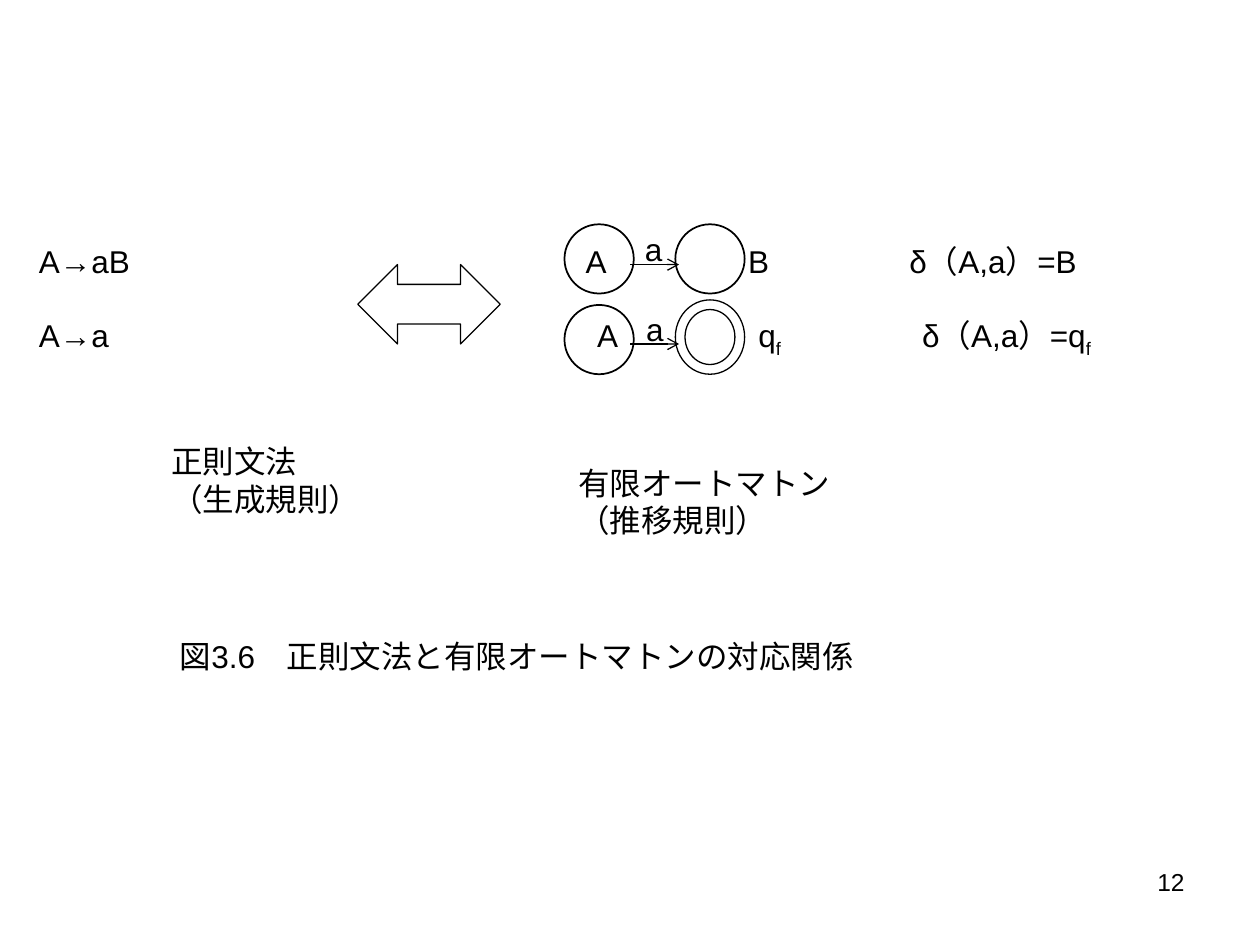
import pptx
import pptx.util
import pptx.dml.color
import pptx.enum.shapes
import pptx.enum.text
import pptx.oxml.ns
import lxml.etree

Inches = pptx.util.Inches
Pt = pptx.util.Pt
SHAPE = pptx.enum.shapes.MSO_SHAPE
ALIGN = pptx.enum.text.PP_ALIGN
BLACK = pptx.dml.color.RGBColor(0, 0, 0)
WHITE = pptx.dml.color.RGBColor(255, 255, 255)


def add_node(owner, tag, **attrs):
    """Append a DrawingML element and return it."""
    node = lxml.etree.SubElement(owner, pptx.oxml.ns.qn(tag))
    for name, value in attrs.items():
        node.set(name, str(value))
    return node


def write(frame, lines, size=18, font="Arial", color=BLACK,
          align=ALIGN.LEFT, gap=0, tabs=()):
    """Fill a frame; "_" lowers the next letter, tabs has stops per line."""
    for index, line in enumerate(lines):
        para = frame.paragraphs[0] if index == 0 else frame.add_paragraph()
        para.alignment = align
        para.space_before = Pt(gap if index else 0)
        if tabs:
            stops = add_node(para._p.get_or_add_pPr(), "a:tabLst")
            for stop in tabs[index]:
                add_node(stops, "a:tab", pos=int(Inches(stop)), algn="l")
        head, *rest = line.split("_")
        parts = [(head, False)]
        for part in rest:
            parts += [(part[:1], True), (part[1:], False)]
        for text, low in parts:
            if not text:
                continue
            run = para.add_run()
            run.text = text
            run.font.size = Pt(size)
            run.font.name = font
            run.font.color.rgb = color
            if low:
                run._r.get_or_add_rPr().set("baseline", "-25000")


class Page:
    """Hold the slide and the line style."""

    def __init__(self, slide, color=BLACK, thin=0.74):
        """Keep the slide and its defaults."""
        self.slide = slide
        self.color = color
        self.thin = thin
        slide.background.fill.solid()
        slide.background.fill.fore_color.rgb = WHITE

    def text(self, left, top, width, height, *lines, wrap=False, **form):
        """Add a text box."""
        box = self.slide.shapes.add_textbox(
            Inches(left), Inches(top), Inches(width), Inches(height))
        box.text_frame.word_wrap = wrap
        write(box.text_frame, lines, **form)

    def shape(self, kind, left, top, width, height, line=None, adjust=()):
        """Add an outlined shape without fill."""
        item = self.slide.shapes.add_shape(
            kind, Inches(left), Inches(top), Inches(width), Inches(height))
        item.shadow.inherit = False
        item.fill.background()
        item.line.color.rgb = self.color
        item.line.width = Pt(line or self.thin)
        for index, value in enumerate(adjust):
            item.adjustments[index] = value

    def arrow(self, start, end, level):
        """Add a level arrow with an open head."""
        item = self.slide.shapes.add_connector(
            pptx.enum.shapes.MSO_CONNECTOR.STRAIGHT,
            Inches(start), Inches(level), Inches(end), Inches(level))
        item.line.color.rgb = self.color
        item.line.width = Pt(self.thin)
        add_node(item.line._get_or_add_ln(), "a:tailEnd", type="arrow")
        add_node(item._element.spPr, "a:effectLst")


def main():
    """Build the slide."""
    deck = pptx.Presentation()
    deck.slide_width, deck.slide_height = Inches(10), Inches(7.5)
    page = Page(deck.slides.add_slide(deck.slide_layouts[6]))

    page.text(7.17, 6.83, 2.33, 0.52, "12", wrap=True, size=14,
              align=ALIGN.RIGHT)
    page.text(0.21, 1.87, 8.79, 1.04,
              "A→aB\tA\tB\tδ（A,a）=B",
              "A→a\tA\tq_f\tδ（A,a）=q_f",
              wrap=True, gap=21,
              tabs=[(4.34, 5.63, 6.91), (4.43, 5.71, 7.01)])

    size, left, right = 0.55, 4.48, 5.36
    for top, level, label in ((1.78, 2.1, 5.02), (2.42, 2.73, 5.03)):
        page.arrow(5, 5.39, level)
        page.shape(SHAPE.OVAL, left, top, size, size, line=1)
        page.text(label, level - 0.32, 0.34, 0.4, "a")
    page.shape(SHAPE.OVAL, right, 1.78, size, size, line=1)
    page.shape(SHAPE.DONUT, right, 2.38, size, 0.59, adjust=[0.14])
    page.shape(SHAPE.LEFT_RIGHT_ARROW, 2.84, 2.1, 1.13, 0.63,
               adjust=[0.5, 0.5])

    page.text(1.26, 3.46, 1.7, 0.7, "正則文法", "（生成規則）")
    page.text(4.49, 3.63, 2.2, 0.7, "有限オートマトン", "（推移規則）")
    page.text(1.33, 5.01, 5.8, 0.4,
              "図3.6　正則文法と有限オートマトンの対応関係", wrap=True)
    deck.save("out.pptx")


main()
